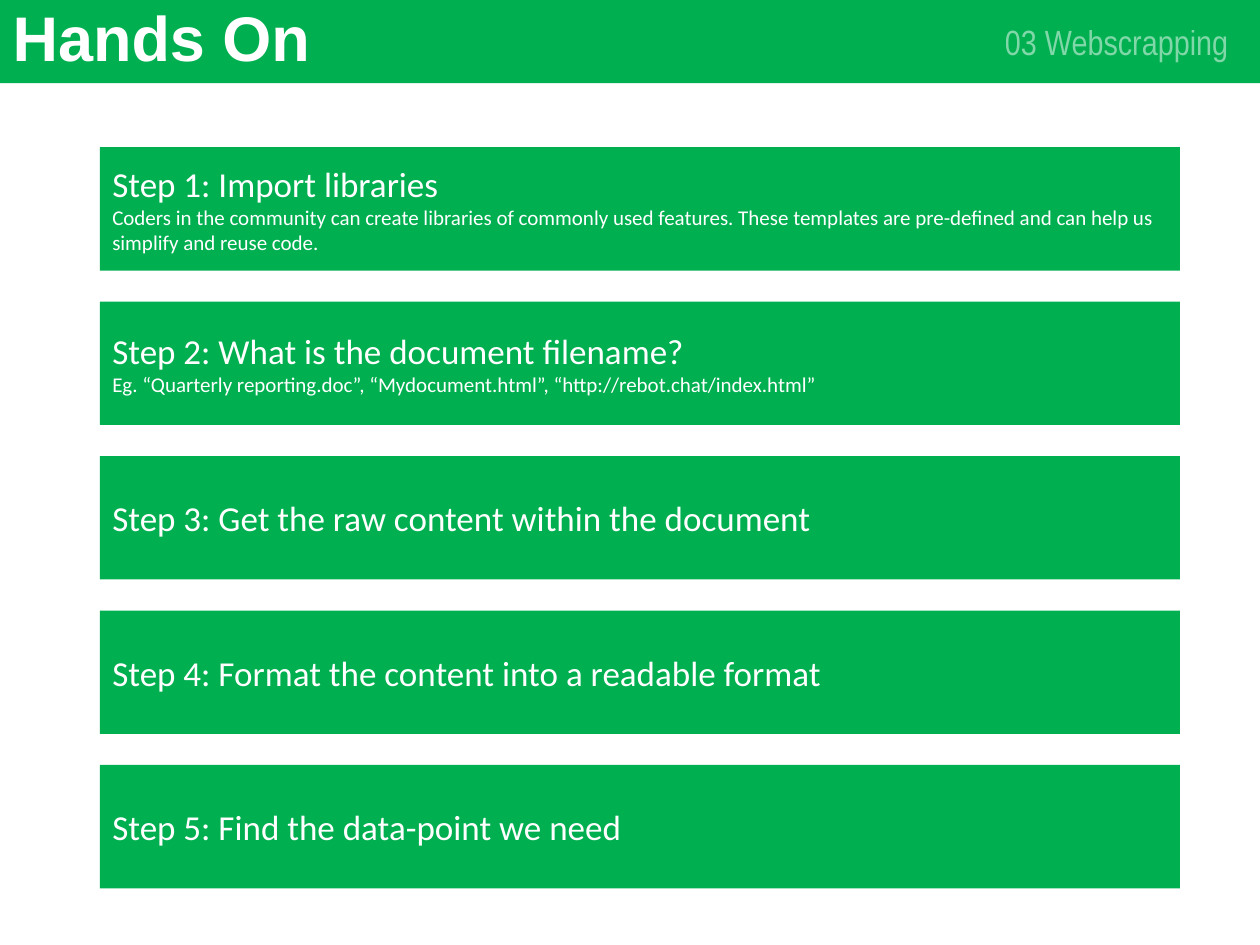
from dataclasses import dataclass

from lxml.etree import SubElement
from pptx import Presentation
from pptx.dml.color import RGBColor
from pptx.enum.shapes import MSO_SHAPE
from pptx.enum.text import MSO_ANCHOR, MSO_AUTO_SIZE, PP_ALIGN
from pptx.oxml.ns import qn
from pptx.util import Pt

TITLE = "Hands On"
CHAPTER = "03 Webscrapping"
STEPS = [
    ("Import libraries",
     "Coders in the community can create libraries of commonly used features. "
     "These templates are pre-defined and can help us simplify and reuse code."),
    ("What is the document filename?",
     "Eg. “Quarterly reporting.doc”, “Mydocument.html”, “http://rebot.chat/index.html”"),
    ("Get the raw content within the document", None),
    ("Format the content into a readable format", None),
    ("Find the data-point we need", None),
]


@dataclass(frozen=True)
class Theme:
    green: RGBColor = RGBColor(0x00, 0xB0, 0x50)
    white: RGBColor = RGBColor(0xFF, 0xFF, 0xFF)
    title_font: str = "Arial"
    chapter_font: str = "Arial Narrow"
    step_font: str = "Calibri"
    title_size: int = 36
    step_size: int = 20
    detail_size: int = 12


THEME = Theme()
PAGE_WIDTH, PAGE_HEIGHT = 720, 540
HEADER_HEIGHT = 47.5
STEP_LEFT, STEP_TOP, STEP_WIDTH, STEP_HEIGHT = 57.1, 84.1, 617.15, 70.5
STEP_PITCH = 88.25


def place(shape, left, top, width, height):
    shape.left, shape.top = Pt(left), Pt(top)
    shape.width, shape.height = Pt(width), Pt(height)


def add_bar(page, left, top, width, height):
    bar = page.shapes.add_shape(
        MSO_SHAPE.RECTANGLE, Pt(left), Pt(top), Pt(width), Pt(height))
    bar.shadow.inherit = False
    bar.fill.solid()
    bar.fill.fore_color.rgb = THEME.green
    bar.line.fill.background()
    return bar


def write(shape, lines, font, bold=False, align=PP_ALIGN.LEFT, spacing=1.0, opacity=100):
    """Fill a shape with one paragraph for each (text, size) pair."""
    frame = shape.text_frame
    frame.word_wrap = True
    frame.auto_size = MSO_AUTO_SIZE.NONE
    frame.vertical_anchor = MSO_ANCHOR.MIDDLE
    for index, (text, size) in enumerate(lines):
        para = frame.add_paragraph() if index else frame.paragraphs[0]
        para.alignment = align
        para.line_spacing = spacing
        span = para.add_run()
        span.text = text
        span.font.name = font
        span.font.size = Pt(size)
        span.font.bold = bold
        span.font.color.rgb = THEME.white
        if opacity < 100:
            color = span.font.fill._xPr.find(qn("a:solidFill"))[0]
            SubElement(color, qn("a:alpha"), val=str(opacity * 1000))


def add_header(page):
    band = add_bar(page, 0, 0, PAGE_WIDTH, HEADER_HEIGHT)
    title = page.shapes.title
    title._element.addprevious(band._element)  # the band lies behind the title
    place(title, 0, 0, 620.5, HEADER_HEIGHT)
    write(title, [(TITLE, THEME.title_size)], THEME.title_font, bold=True, spacing=0.9)
    chapter = page.shapes.add_textbox(Pt(558.7), Pt(9.4), Pt(150.3), Pt(29))
    write(chapter, [(CHAPTER, THEME.step_size)], THEME.chapter_font,
          align=PP_ALIGN.RIGHT, opacity=50)


def add_steps(page):
    for index, (heading, detail) in enumerate(STEPS):
        bar = add_bar(page, STEP_LEFT, STEP_TOP + index * STEP_PITCH,
                      STEP_WIDTH, STEP_HEIGHT)
        lines = [(f"Step {index + 1}: {heading}", THEME.step_size)]
        if detail:
            lines.append((detail, THEME.detail_size))
        write(bar, lines, THEME.step_font)


def main():
    deck = Presentation()
    deck.slide_width, deck.slide_height = Pt(PAGE_WIDTH), Pt(PAGE_HEIGHT)
    page = deck.slides.add_slide(deck.slide_layouts.get_by_name("Title Only"))
    add_header(page)
    add_steps(page)
    deck.save("out.pptx")


if __name__ == "__main__":
    main()
